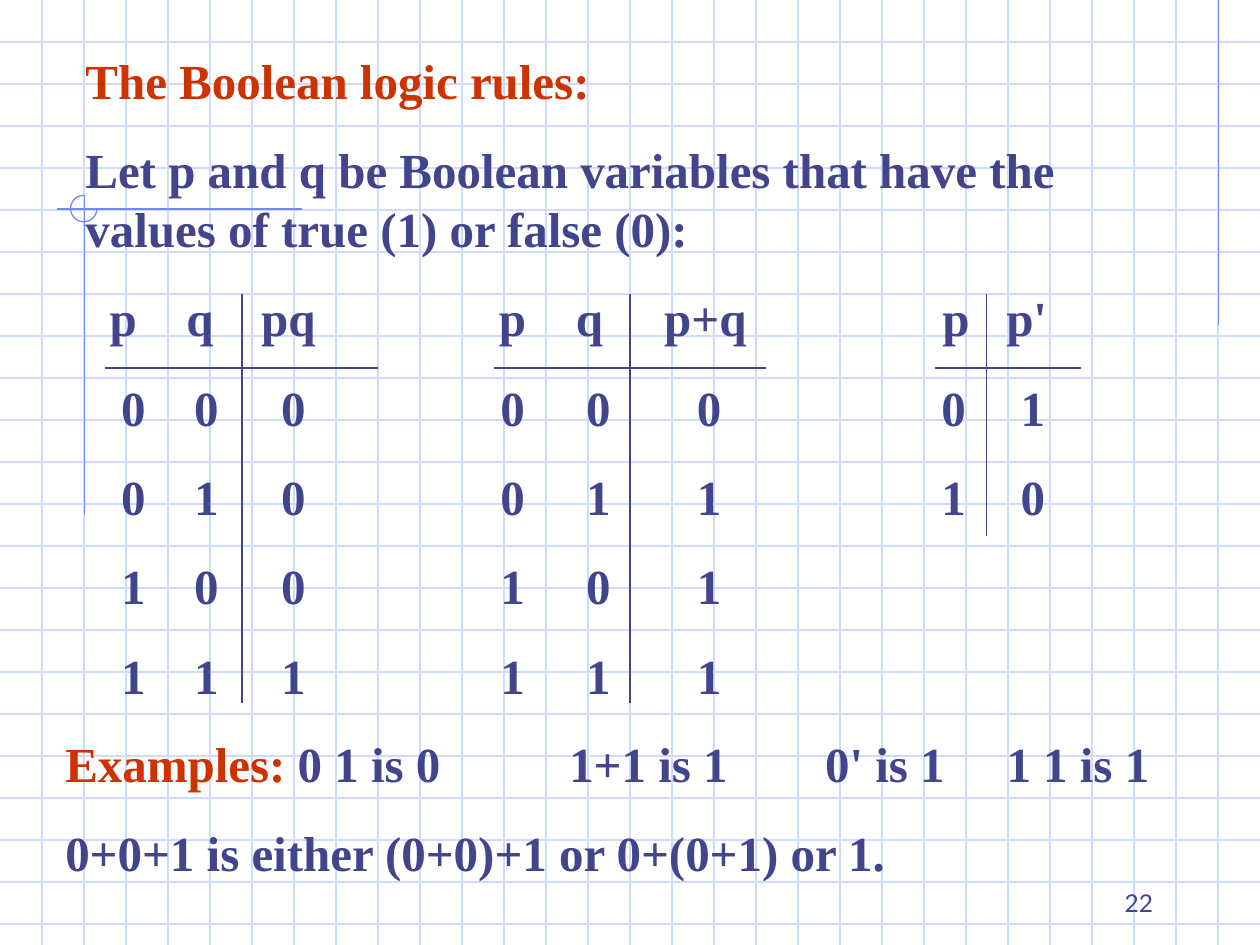
"""Build a slide of Boolean truth tables on a squared-paper ground."""
from lxml import etree
from pptx import Presentation
from pptx.dml.color import RGBColor
from pptx.enum.shapes import MSO_CONNECTOR, MSO_SHAPE
from pptx.enum.text import MSO_ANCHOR, PP_ALIGN
from pptx.oxml.ns import qn
from pptx.util import Inches, Pt

STRAIGHT, ARC = MSO_CONNECTOR.STRAIGHT, MSO_SHAPE.ARC
LEFT, RIGHT = PP_ALIGN.LEFT, PP_ALIGN.RIGHT
TOP, BOTTOM = MSO_ANCHOR.TOP, MSO_ANCHOR.BOTTOM
INK, RED, PALE, BLUE = "40458C", "CC3300", "CFDBFD", "6F89F7"
SERIF, SANS = "Times New Roman", "Lato"
WIDE, HIGH, STEP = 10, 7.5, 1 / 3

TITLE = "The Boolean logic rules:"
INTRO = ("Let p and q be Boolean variables that have the "
         "values of true (1) or false (0):")
HEADS = ["p", "q", "pq", "p", "q", "p+q", "p", "p'"]
ROWS = ["00000001", "01001110", "100101", "111111"]
CASES = ["0 1 is 0", "1+1 is 1", "0' is 1", "1 1 is 1"]
CLOSE = "0+0+1 is either (0+0)+1 or 0+(0+1) or 1."

HEAD_TABS = [0.3, 0.91, 1.61, 3.39, 4, 4.92, 6.91, 7.47]
ROW_TABS = [0.38, 0.96, 1.65, 3.39, 4.07, 4.95, 6.89, 7.52]
CASE_TABS = [4, 6.03, 7.47]

MARKS = [(9.67, 0, 9.67, 2.58), (0.45, 1.66, 2.4, 1.66),
         (0.67, 1.55, 0.67, 4.09)]
RULES = [(0.83, 2.92, 3, 2.92), (3.92, 2.92, 6.08, 2.92),
         (7.42, 2.92, 8.58, 2.92), (1.92, 2.33, 1.92, 5.58),
         (5, 2.33, 5, 5.58), (7.83, 2.33, 7.83, 4.25)]


def color(code):
    return RGBColor.from_string(code)


def draw_line(slide, ends, code):
    line = slide.shapes.add_connector(STRAIGHT, *map(Inches, ends))
    line.line.color.rgb = color(code)
    line.line.width = Pt(0.75)
    etree.SubElement(line._element.spPr, qn("a:effectLst"))


def draw_arc(slide):
    arc = slide.shapes.add_shape(ARC, *map(Inches, (0.56, 1.55, 0.21, 0.21)))
    arc.adjustments[0], arc.adjustments[1] = 0, 162
    arc.fill.background()
    arc.line.color.rgb = color(BLUE)
    arc.line.width = Pt(0.75)
    arc.shadow.inherit = False


def set_tabs(para, stops, kind):
    tabs = etree.SubElement(para._p.get_or_add_pPr(), qn("a:tabLst"))
    for stop in stops:
        etree.SubElement(tabs, qn("a:tab"), pos=str(Inches(stop)), algn=kind)


def add_text(slide, place, paras, size=28, face=SERIF, bold=True,
             align=LEFT, anchor=TOP):
    frame = slide.shapes.add_textbox(*map(Inches, place)).text_frame
    frame.word_wrap = True
    frame.vertical_anchor = anchor
    for i, (runs, stops, kind) in enumerate(paras):
        para = frame.add_paragraph() if i else frame.paragraphs[0]
        if stops:
            set_tabs(para, stops, kind)
        para.alignment = align
        para.line_spacing = Pt(size * 1.2)
        if i:
            para.space_before = Pt(17.5)
        para.font.size, para.font.name = Pt(size), face
        para.font.bold = bold
        for text, code in runs:
            run = para.add_run()
            run.text = text
            run.font.color.rgb = color(code)


def plain(text, code=INK):
    return [(text, code)], [], "l"


def row(cells, stops):
    return [("\t" + "\t".join(cells), INK)], stops, "ctr"


def main():
    deck = Presentation()
    deck.slide_width, deck.slide_height = Inches(WIDE), Inches(HIGH)
    slide = deck.slides.add_slide(deck.slide_layouts[6])
    for i in range(1, 23):
        draw_line(slide, (0, i * STEP, WIDE, i * STEP), PALE)
    for i in range(1, 30):
        draw_line(slide, (i * STEP, 0, i * STEP, HIGH), PALE)
    for ends in MARKS:
        draw_line(slide, ends, BLUE)
    draw_arc(slide)

    rules = [plain(TITLE, RED), plain(INTRO), row(HEADS, HEAD_TABS)]
    rules += [row(cells, ROW_TABS) for cells in ROWS]
    add_text(slide, (0.58, 0.35, 8.67, 5.3), rules)
    for ends in RULES:
        draw_line(slide, ends, INK)

    cases = [("Examples: ", RED), ("\t".join(CASES), INK)]
    add_text(slide, (0.42, 5.77, 9, 1.28),
             [(cases, CASE_TABS, "l"), plain(CLOSE)])
    add_text(slide, (7.17, 6.83, 2.08, 0.5), [plain("22")],
             14, SANS, False, RIGHT, BOTTOM)
    deck.save("out.pptx")


if __name__ == "__main__":
    main()
